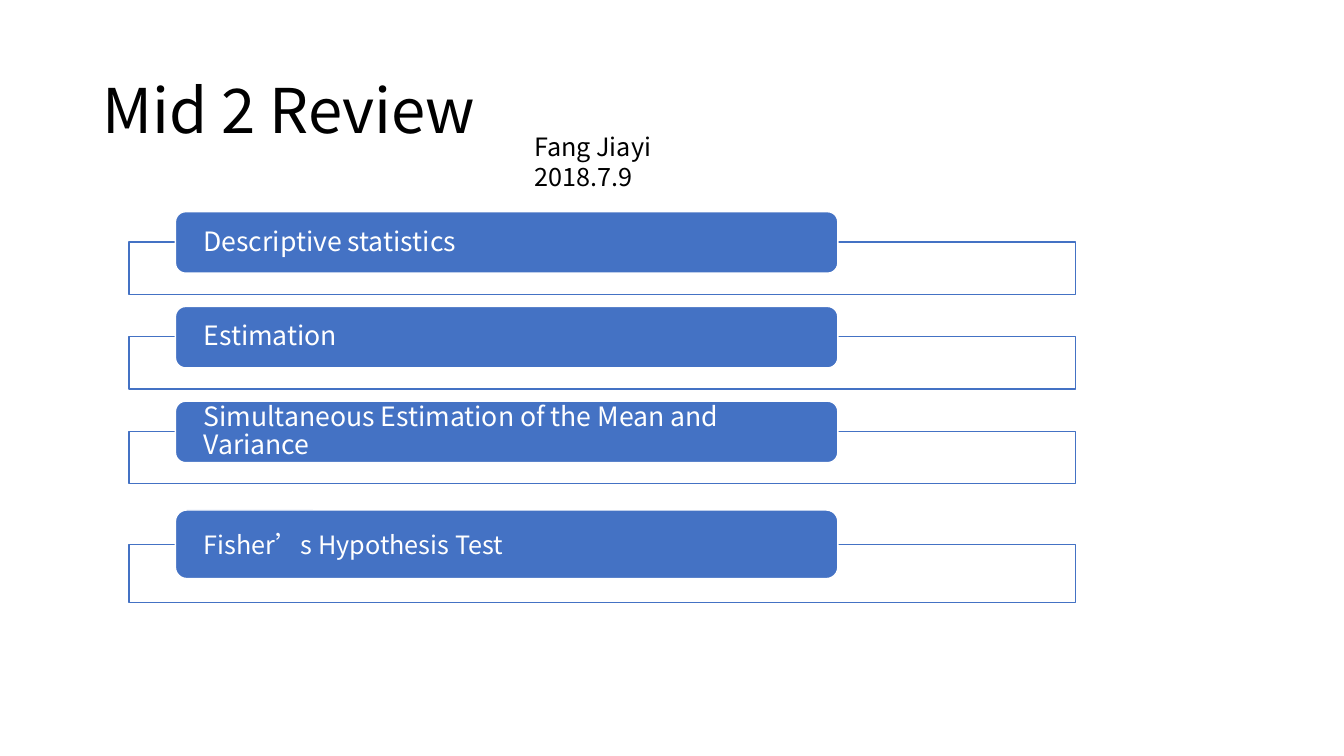
from dataclasses import dataclass

from lxml.etree import SubElement
from pptx import Presentation
from pptx.dml.color import RGBColor
from pptx.enum.shapes import MSO_SHAPE as Shape
from pptx.enum.text import MSO_ANCHOR as Anchor, PP_ALIGN as Align
from pptx.oxml.ns import qn
from pptx.util import Emu, Pt

PX = 9144  # 100 px to the inch


@dataclass(frozen=True)
class Theme:
    font: str = "Noto Sans CJK SC"
    black: RGBColor = RGBColor(0x00, 0x00, 0x00)
    white: RGBColor = RGBColor(0xFF, 0xFF, 0xFF)
    blue: RGBColor = RGBColor(0x44, 0x72, 0xC4)
    title: int = 44
    topic: int = 19
    body: int = 18


THEME = Theme()


def px(*lengths):
    return [Emu(length * PX) for length in lengths]


def write(shape, text, size, color, spacing=1.0, anchor=Anchor.MIDDLE, insets=(10, 5, 10, 5)):
    frame = shape.text_frame
    frame.word_wrap = True
    frame.vertical_anchor = anchor
    (frame.margin_left, frame.margin_top,
     frame.margin_right, frame.margin_bottom) = px(*insets)
    para = frame.paragraphs[0]
    para.alignment = Align.LEFT
    para.line_spacing = spacing
    span = para.add_run()
    span.text = text
    font = span.font
    font.name, font.size = THEME.font, Pt(size)
    font.color.rgb = color
    # East Asian face, for the wide apostrophe
    SubElement(font._element, qn("a:ea")).set("typeface", THEME.font)


def add_label(page, at, text, size, **layout):
    box = page.shapes.add_textbox(*px(*at))
    write(box, text, size, THEME.black, **layout)


def add_block(page, kind, at, fill, line):
    block = page.shapes.add_shape(kind, *px(*at))
    block.shadow.inherit = False
    block.fill.solid()
    block.fill.fore_color.rgb = fill
    block.line.color.rgb = line
    block.line.width = Pt(1)
    return block


def add_topic(page, top, pill_height, frame_height, text, size, spacing):
    # The frame starts level with the middle of the pill
    frame_top = top + pill_height // 2
    add_block(page, Shape.RECTANGLE, (128, frame_top, 939, frame_height),
              THEME.white, THEME.blue)
    pill = add_block(page, Shape.ROUNDED_RECTANGLE, (174, top, 657, pill_height),
                     THEME.blue, THEME.white)
    write(pill, text, size, THEME.white, spacing, insets=(25, 0, 25, 0))


def main():
    deck = Presentation()
    deck.slide_width, deck.slide_height = px(1333, 750)
    page = deck.slides.add_slide(deck.slide_layouts[6])

    # Heading, author and date
    add_label(page, (92, 40, 1150, 145), "Mid 2 Review", THEME.title, spacing=0.9)
    add_label(page, (520, 125, 226, 40), "Fang Jiayi 2018.7.9", THEME.body,
              anchor=Anchor.TOP)

    # Evenly spaced topics
    topics = ("Descriptive statistics", "Estimation",
              "Simultaneous Estimation of the Mean and Variance")
    for row, topic in enumerate(topics):
        add_topic(page, 210 + 94 * row, 61, 52, topic, THEME.topic, 0.9)

    # Last topic, set apart and taller
    add_topic(page, 506, 68, 58, "Fisher’s Hypothesis Test", THEME.body, 1.0)

    deck.save("out.pptx")


if __name__ == "__main__":
    main()
